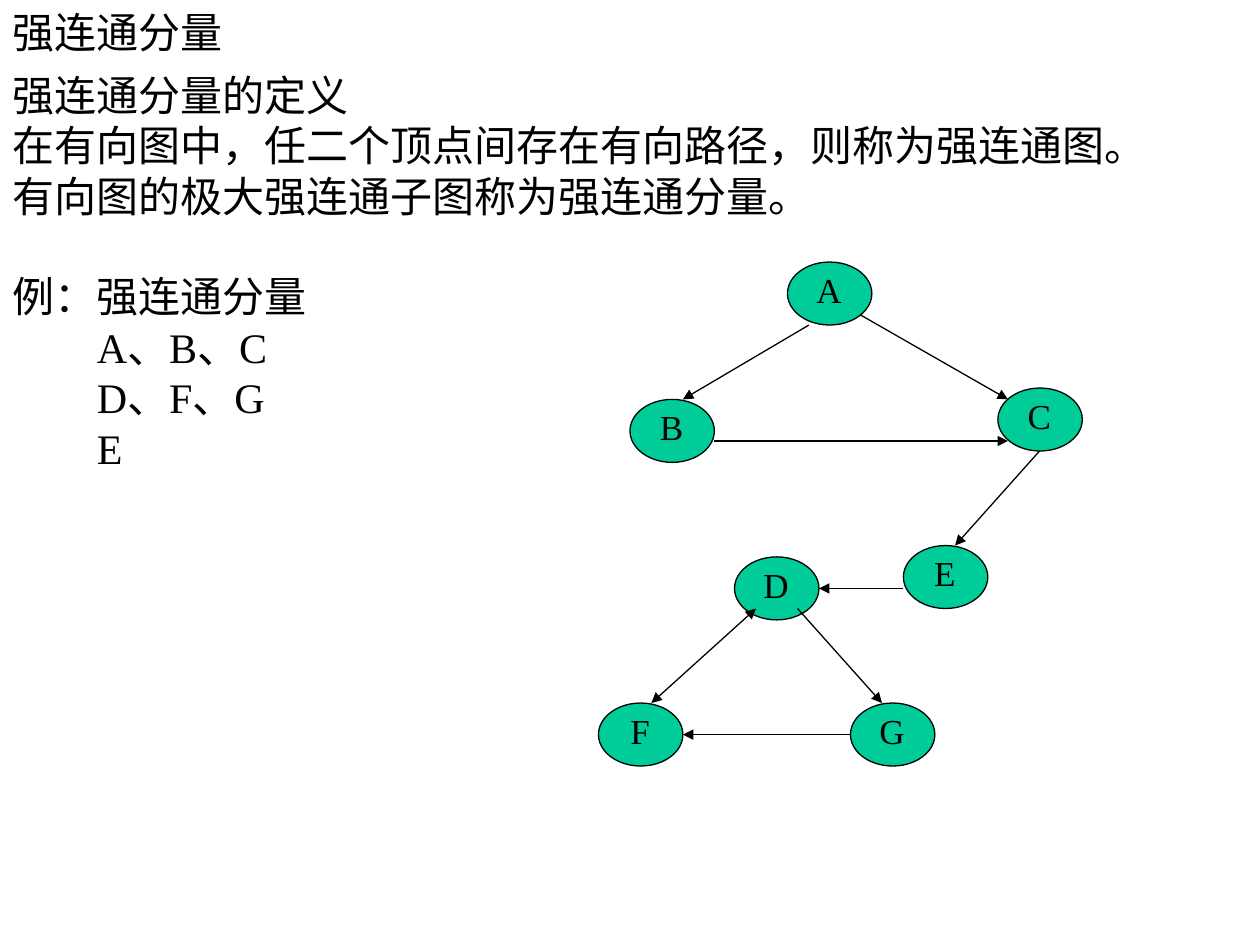
from dataclasses import dataclass

from lxml.etree import SubElement
from pptx import Presentation
from pptx.dml.color import RGBColor
from pptx.enum.shapes import MSO_CONNECTOR, MSO_SHAPE
from pptx.enum.text import MSO_ANCHOR, MSO_AUTO_SIZE, PP_ALIGN
from pptx.oxml.ns import qn
from pptx.util import Inches, Pt


@dataclass(frozen=True)
class Theme:
    font: str = "Times New Roman"
    ink: RGBColor = RGBColor(0x00, 0x00, 0x00)
    node: RGBColor = RGBColor(0x00, 0xCC, 0x99)
    text_size: Pt = Pt(24)
    label_size: Pt = Pt(20)
    leading: Pt = Pt(28.8)
    line: Pt = Pt(0.75)


theme = Theme()

prs = Presentation()
prs.slide_width, prs.slide_height = Inches(10), Inches(7.5)
slide = prs.slides.add_slide(prs.slide_layouts[6])


def add_text(left, top, width, height, lines, size):
    box = slide.shapes.add_textbox(Inches(left), Inches(top), Inches(width), Inches(height))
    frame = box.text_frame
    frame.word_wrap = True
    frame.text = "\n".join(lines)
    for paragraph in frame.paragraphs:
        paragraph.font.name = theme.font
        paragraph.font.size = size
        paragraph.font.color.rgb = theme.ink
    return frame


# Title
title = add_text(0, 0, 8.5, 0.5, ["强连通分量"], theme.text_size)
title.vertical_anchor = MSO_ANCHOR.MIDDLE

# Definition, then the example with its components indented
definition = [
    "强连通分量的定义",
    "在有向图中，任二个顶点间存在有向路径，则称为强连通图。",
    "有向图的极大强连通子图称为强连通分量。",
]
components = ["A、B、C", "D、F、G", "E"]
body = add_text(0, 0.5, 9.67, 6.75, [*definition, "例：强连通分量", *components], theme.text_size)
for paragraph in body.paragraphs:
    paragraph.line_spacing = theme.leading
body.paragraphs[len(definition)].space_before = theme.leading
for paragraph in body.paragraphs[-len(components):]:
    properties = paragraph._p.get_or_add_pPr()
    properties.set("marL", str(Inches(0.67)))
    properties.set("indent", "0")

# Graph vertices: left and top of each ellipse
vertices = {
    "A": (6.25, 2.08),
    "C": (7.92, 3.08),
    "B": (5, 3.17),
    "D": (5.83, 4.42),
    "E": (7.17, 4.33),
    "F": (4.75, 5.58),
    "G": (6.75, 5.58),
}
for left, top in vertices.values():
    vertex = slide.shapes.add_shape(
        MSO_SHAPE.OVAL, Inches(left), Inches(top), Inches(0.67), Inches(0.5))
    vertex.shadow.inherit = False
    vertex.fill.solid()
    vertex.fill.fore_color.rgb = theme.node
    vertex.line.color.rgb = theme.ink
    vertex.line.width = theme.line

# Directed edges: start, end and the ends that carry an arrowhead
edges = [
    ((6.42, 2.58), (5.42, 3.17), ["tailEnd"]),  # A to B
    ((6.83, 2.5), (8, 3.17), ["tailEnd"]),  # A to C
    ((5.67, 3.5), (8, 3.5), ["tailEnd"]),  # B to C
    ((8.25, 3.58), (7.58, 4.33), ["tailEnd"]),  # C to E
    ((7.17, 4.67), (6.5, 4.67), ["tailEnd"]),  # E to D
    ((6.33, 4.83), (7, 5.58), ["tailEnd"]),  # D to G
    ((6.75, 5.83), (5.42, 5.83), ["tailEnd"]),  # G to F
    ((6, 4.83), (5.17, 5.58), ["headEnd", "tailEnd"]),  # D and F, both ways
]
for start, end, arrowheads in edges:
    edge = slide.shapes.add_connector(
        MSO_CONNECTOR.STRAIGHT, *(Inches(value) for value in start + end))
    edge.line.color.rgb = theme.ink
    edge.line.width = theme.line
    for arrowhead in arrowheads:
        SubElement(edge.line._get_or_add_ln(), qn(f"a:{arrowhead}"), type="triangle")
    SubElement(edge._element.spPr, qn("a:effectLst"))

# Vertex names, centred on the ellipses
for name, (left, top) in vertices.items():
    label = add_text(left + 0.08, top, 0.5, 0.44, [name], theme.label_size)
    label.auto_size = MSO_AUTO_SIZE.SHAPE_TO_FIT_TEXT
    label.paragraphs[0].alignment = PP_ALIGN.CENTER

prs.save("out.pptx")
